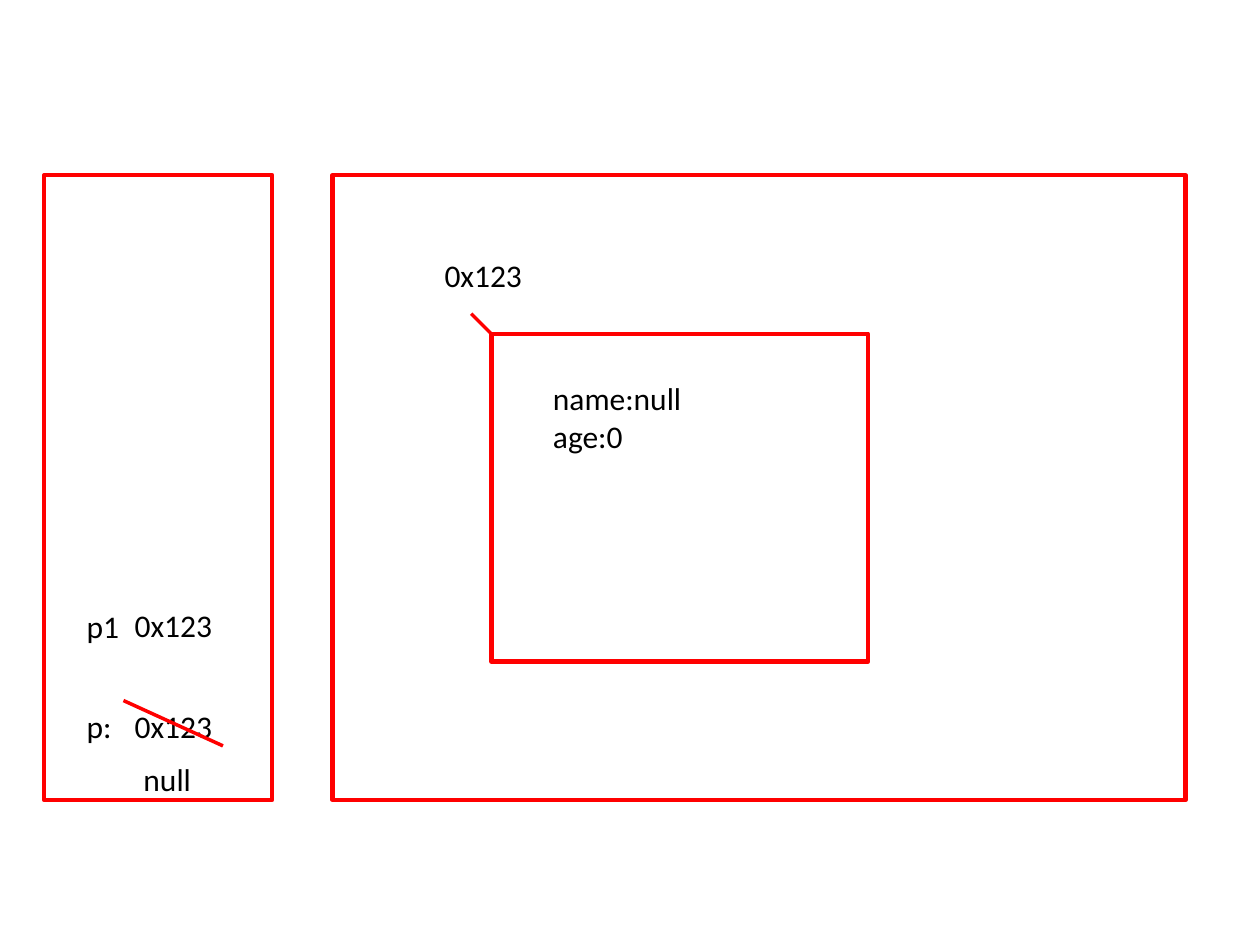
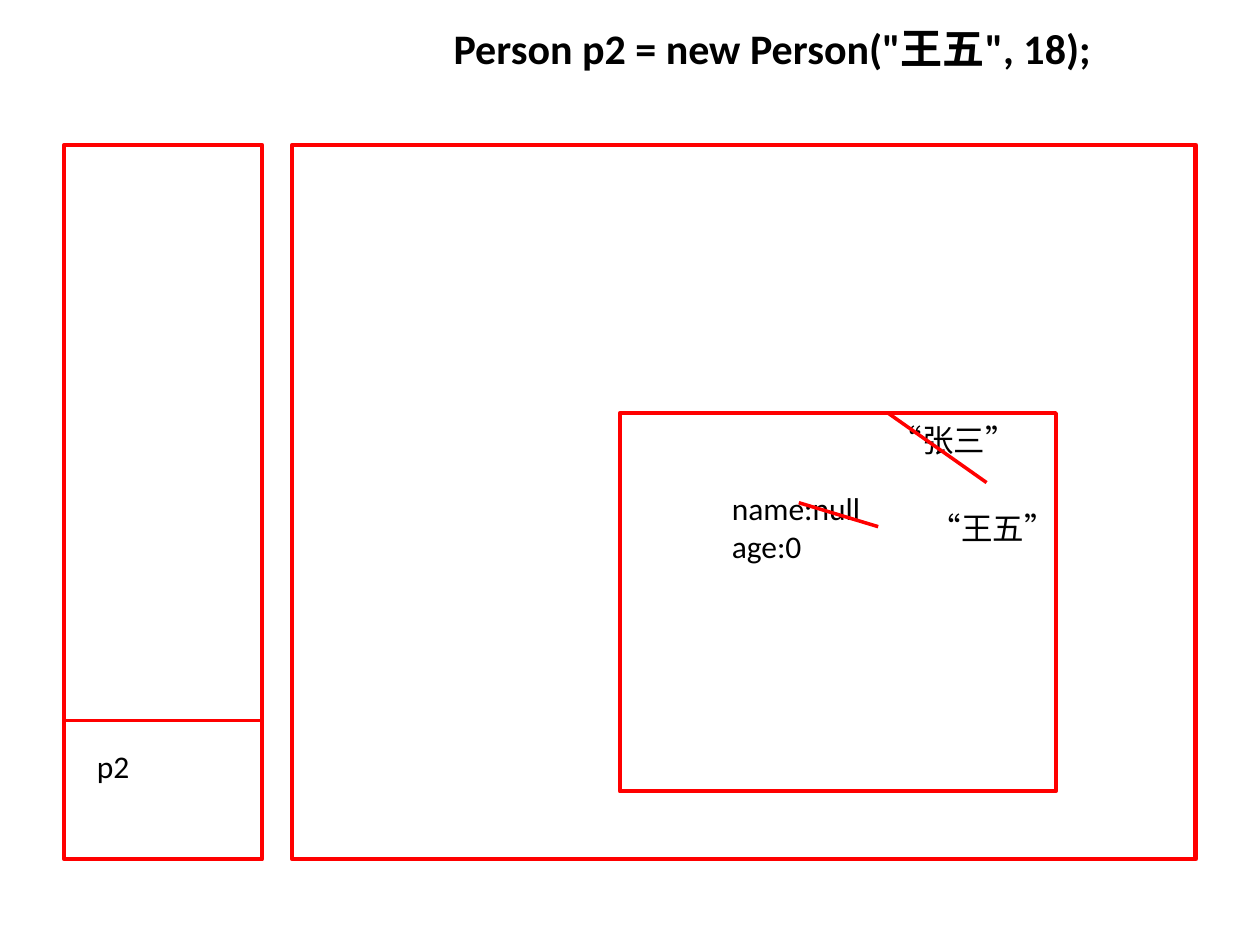
from typing import NamedTuple

from lxml.etree import SubElement
from pptx import Presentation
from pptx.dml.color import RGBColor
from pptx.enum.lang import MSO_LANGUAGE_ID as Lang
from pptx.enum.shapes import MSO_CONNECTOR as Connector, MSO_SHAPE as Shape
from pptx.enum.text import MSO_ANCHOR as Anchor, MSO_AUTO_SIZE as AutoSize, PP_ALIGN as Align
from pptx.oxml.ns import qn
from pptx.util import Inches, Pt

RED = "FF0000"
BLACK = "000000"
FONT = "Calibri"
TITLE_ONLY, BLANK = 5, 6
LINE_HEIGHT = 0.3
FIELDS = "name:null\nage:0"


class Box(NamedTuple):
    """A region in inches."""
    left: float
    top: float
    width: float
    height: float

    def at(self, x, y):
        """Return the slide position of a point inside the region."""
        return Inches(self.left + x), Inches(self.top + y)

    def inner(self, x, y, width, height):
        """Return a region placed relative to this one."""
        return Box(self.left + x, self.top + y, width, height)


def paint(color_format, color):
    """Apply a hex colour."""
    color_format.rgb = RGBColor.from_string(color)


def write(frame, text, size=18, bold=False):
    """Fill a frame with left-aligned text that grows downward."""
    frame.text = text
    frame.word_wrap = True
    frame.auto_size = AutoSize.SHAPE_TO_FIT_TEXT
    frame.vertical_anchor = Anchor.TOP
    for paragraph in frame.paragraphs:
        paragraph.alignment = Align.LEFT
        for run in paragraph.runs:
            font = run.font
            font.name, font.size, font.bold = FONT, Pt(size), bold
            font.language_id = Lang.SIMPLIFIED_CHINESE
            paint(font.color, BLACK)


def add_label(slide, box, x, y, width, text):
    """Place text relative to a region."""
    height = 0.1 + LINE_HEIGHT * len(text.splitlines())
    label = slide.shapes.add_textbox(*box.at(x, y), Inches(width), Inches(height))
    write(label.text_frame, text)


def add_stroke(slide, box, start, end):
    """Draw a red line between two points of a region."""
    stroke = slide.shapes.add_connector(Connector.STRAIGHT, *box.at(*start), *box.at(*end))
    paint(stroke.line.color, RED)
    stroke.line.width = Pt(2)
    SubElement(stroke._element.spPr, qn("a:effectLst"))


def add_frame(slide, box):
    """Outline a memory region in red."""
    frame = slide.shapes.add_shape(Shape.RECTANGLE, *map(Inches, box))
    frame.shadow.inherit = False
    frame.fill.background()
    paint(frame.line.color, RED)
    frame.line.width = Pt(2.5)


def add_title(slide, box, text):
    """Place and format the title."""
    title = slide.shapes.title
    title.left, title.top, title.width, title.height = map(Inches, box)
    write(title.text_frame, text, size=24, bold=True)


def draw_reference_stack(slide, box):
    """Draw the stack whose variable p is set to null."""
    add_frame(slide, box)
    for name, width, name_y, address_y in (("p:", 1.26, 4.17, 4.17), ("p1", 1.57, 3.38, 3.37)):
        add_label(slide, box, 0.24, name_y, width, name)
        add_label(slide, box, 0.62, address_y, 0.94, "0x123")
    add_stroke(slide, box, (0.63, 4.17), (1.42, 4.53))
    add_label(slide, box, 0.69, 4.59, 0.88, "null")


def draw_addressed_person(slide, box):
    """Draw the object with its address at the corner."""
    add_frame(slide, box)
    add_label(slide, box, 0.39, 0.31, 2.44, FIELDS)
    add_stroke(slide, box, (0, 0), (-0.16, -0.16))
    add_label(slide, box, -0.47, -0.67, 0.94, "0x123")


def draw_new_stack(slide, box):
    """Draw the stack with a separate cell for p2."""
    add_frame(slide, box)
    add_stroke(slide, box, (0, 4.57), (box.width, 4.57))
    add_label(slide, box, 0.16, 4.73, 2.05, "p2")


def draw_renamed_person(slide, box):
    """Draw the object whose name is replaced twice."""
    add_frame(slide, box)
    add_label(slide, box, 0.79, 0.55, 2.13, FIELDS)
    add_stroke(slide, box, (1.42, 0.71), (2.05, 0.9))
    add_label(slide, box, 2.05, 0.01, 1.26, "“张三”")
    add_stroke(slide, box, (2.13, 0), (2.91, 0.55))
    add_label(slide, box, 2.36, 0.71, 1.26, "“王五”")


def build_shared_reference(deck):
    """Build the slide with two references to one object."""
    slide = deck.slides.add_slide(deck.slide_layouts[BLANK])
    heap = Box(2.64, 1.39, 6.77, 4.96)
    draw_reference_stack(slide, Box(0.35, heap.top, 1.81, heap.height))
    add_frame(slide, heap)
    draw_addressed_person(slide, heap.inner(1.26, 1.26, 2.99, 2.6))


def build_constructor(deck):
    """Build the slide about the constructor call."""
    slide = deck.slides.add_slide(deck.slide_layouts[TITLE_ONLY])
    heap = Box(2.32, 1.15, 7.17, 5.67)
    add_title(slide, Box(3.5, 0.13, 5.35, 0.5), 'Person p2 = new Person("王五", 18);')
    draw_new_stack(slide, Box(0.51, heap.top, 1.57, heap.height))
    add_frame(slide, heap)
    draw_renamed_person(slide, heap.inner(2.6, 2.13, 3.46, 3))


def main():
    """Build and save the deck."""
    deck = Presentation()
    deck.slide_width, deck.slide_height = Inches(10), Inches(7.5)
    build_shared_reference(deck)
    build_constructor(deck)
    deck.save("out.pptx")


if __name__ == "__main__":
    main()
